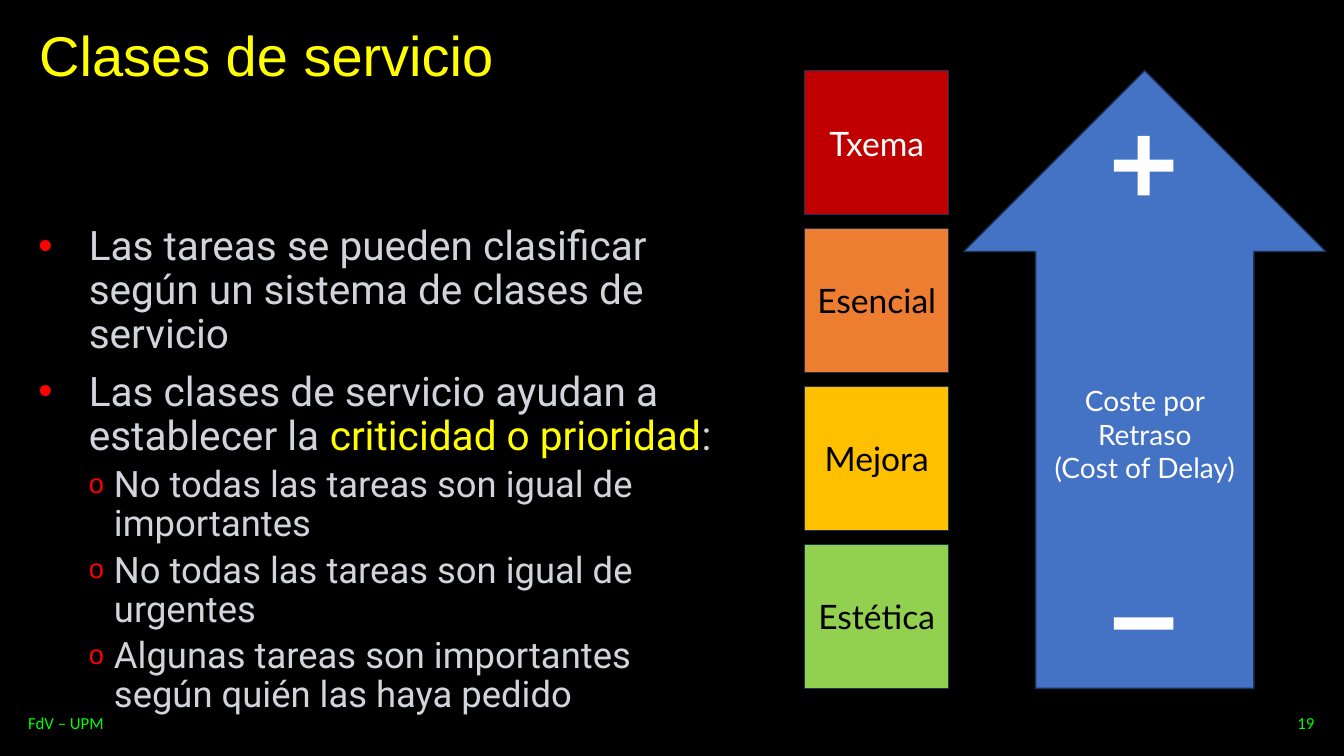
from lxml import etree
from pptx import Presentation
from pptx.dml.color import RGBColor
from pptx.enum.shapes import MSO_SHAPE
from pptx.enum.text import MSO_ANCHOR, MSO_AUTO_SIZE, PP_ALIGN
from pptx.oxml.ns import qn
from pptx.util import Pt

RECT, ARROW, PLUS = MSO_SHAPE.RECTANGLE, MSO_SHAPE.UP_ARROW, MSO_SHAPE.CROSS
TOP, MIDDLE = MSO_ANCHOR.TOP, MSO_ANCHOR.MIDDLE
LEFT, CENTER, RIGHT = PP_ALIGN.LEFT, PP_ALIGN.CENTER, PP_ALIGN.RIGHT
NO_FIT = MSO_AUTO_SIZE.NONE
TITLE_ONLY = 5

BLACK, WHITE, RED, YELLOW, GREEN = "000000", "FFFFFF", "FF0000", "FFFF00", "00FF00"
GREY, BLUE, OUTLINE = "D1D5DB", "4472C4", "1E3256"


def color(value):
    return RGBColor.from_string(value)


class SlideBuilder:
    title_font = {"name": "Arial", "size": Pt(40)}
    label_font = {"name": "Lato", "size": Pt(24)}
    arrow_font = {"name": "Lato", "size": Pt(20)}
    footer_font = {"name": "Calibri", "size": Pt(12)}
    levels = (
        {"font": {"name": "Roboto", "size": Pt(29)}, "left": 36, "hang": 36,
         "before": 10, "mark": "•", "scale": 100},
        {"font": {"name": "Roboto", "size": Pt(26)}, "left": 54, "hang": 18,
         "before": 5, "mark": "o", "scale": 75},
    )

    def __init__(self, deck):
        self.page = deck.slides.add_slide(deck.slide_layouts[TITLE_ONLY])
        self.page.background.fill.solid()
        self.page.background.fill.fore_color.rgb = color(BLACK)

    def frame(self, box, anchor, margins=(7.2, 3.6, 7.2, 3.6)):
        left, top, right, bottom = margins
        values = {"word_wrap": True, "auto_size": NO_FIT, "vertical_anchor": anchor,
                  "margin_left": Pt(left), "margin_top": Pt(top),
                  "margin_right": Pt(right), "margin_bottom": Pt(bottom)}
        for name, value in values.items():
            setattr(box.text_frame, name, value)
        return box.text_frame

    def span(self, para, text, font, ink):
        span = para.add_run()
        span.text = text
        for name, value in font.items():
            setattr(span.font, name, value)
        span.font.color.rgb = color(ink)

    def lines(self, frame, texts, font, ink, align):
        for index, text in enumerate(texts):
            para = frame.add_paragraph() if index else frame.paragraphs[0]
            para.alignment = align
            self.span(para, text, font, ink)

    def title(self, text, place):
        box = self.page.shapes.title
        for name, value in zip(("left", "top", "width", "height"), place):
            setattr(box, name, Pt(value))
        box.fill.solid()
        box.fill.fore_color.rgb = color(BLACK)
        frame = self.frame(box, MIDDLE, (28, 3.6, 7.2, 3.6))
        self.lines(frame, [text], self.title_font, YELLOW, LEFT)
        frame.paragraphs[0].line_spacing = 0.9

    def textbox(self, place, anchor, **options):
        box = self.page.shapes.add_textbox(*map(Pt, place))
        return self.frame(box, anchor, **options)

    def footer(self, text, place, align):
        self.lines(self.textbox(place, MIDDLE), [text], self.footer_font, GREEN, align)

    def bullet(self, para, style):
        properties = para._p.get_or_add_pPr()
        properties.set("marL", str(Pt(style["left"])))
        properties.set("indent", str(-Pt(style["hang"])))
        tint = etree.SubElement(properties, qn("a:buClr"))
        etree.SubElement(tint, qn("a:srgbClr"), val=RED)
        etree.SubElement(properties, qn("a:buSzPct"), val=str(style["scale"] * 1000))
        etree.SubElement(properties, qn("a:buFont"), typeface="Arial")
        etree.SubElement(properties, qn("a:buChar"), char=style["mark"])

    def bullets(self, items, place):
        frame = self.textbox(place, TOP, margins=(14.4, 5.76, 14.4, 5.76))
        for index, (level, parts) in enumerate(items):
            para = frame.add_paragraph() if index else frame.paragraphs[0]
            style = self.levels[level]
            self.bullet(para, style)
            values = {"level": level, "line_spacing": 0.9,
                      "space_before": Pt(style["before"] if index else 0)}
            for name, value in values.items():
                setattr(para, name, value)
            for text, ink in parts:
                self.span(para, text, style["font"], ink)

    def shape(self, kind, place, fill, line=None, adjustments=()):
        box = self.page.shapes.add_shape(kind, *map(Pt, place))
        box.shadow.inherit = False
        box.fill.solid()
        box.fill.fore_color.rgb = color(fill)
        if line:
            box.line.color.rgb = color(line)
            box.line.width = Pt(1)
        else:
            box.line.fill.background()
        for index, value in enumerate(adjustments):
            box.adjustments[index] = value
        return box

    def block(self, kind, place, fill, texts, font, ink, adjustments=()):
        box = self.shape(kind, place, fill, OUTLINE, adjustments)
        self.lines(self.frame(box, MIDDLE), texts, font, ink, CENTER)


def main():
    deck = Presentation()
    deck.slide_width, deck.slide_height = Pt(960), Pt(540)
    slide = SlideBuilder(deck)

    slide.title("Clases de servicio", (0, 8, 960, 67.5))
    slide.bullets([
        (0, [("Las tareas se pueden clasificar según un sistema de clases de servicio", GREY)]),
        (0, [("Las clases de servicio ayudan a establecer la ", GREY),
             ("criticidad o prioridad", YELLOW), (":", GREY)]),
        (1, [("No todas las tareas son igual de importantes", GREY)]),
        (1, [("No todas las tareas son igual de urgentes", GREY)]),
        (1, [("Algunas tareas son importantes según quién las haya pedido", GREY)]),
    ], (13, 155.5, 511, 336))
    slide.footer("FdV – UPM", (13, 502, 586, 29), LEFT)
    slide.footer("19", (612, 502, 334, 29), RIGHT)

    service_classes = [("Txema", "C00000", WHITE), ("Esencial", "ED7D31", BLACK),
                       ("Mejora", "FFC000", BLACK), ("Estética", "92D050", BLACK)]
    top, side, pitch = 50.4, 102.8, 112.85
    for index, (name, fill, ink) in enumerate(service_classes):
        place = (574.8, top + index * pitch, side, side)
        slide.block(RECT, place, fill, [name], slide.label_font, ink)

    arrow_height = 3 * pitch + side
    slide.block(ARROW, (688.4, top, 258.6, arrow_height), BLUE,
                ["Coste por Retraso", "(Cost of Delay)"], slide.arrow_font, WHITE,
                (0.603, 0.5))
    slide.shape(PLUS, (795.6, 97, 42.6, 42.6), WHITE, adjustments=(0.398,))
    slide.shape(RECT, (795.6, 441, 42.6, 8.7), WHITE)

    deck.save("out.pptx")


if __name__ == "__main__":
    main()
